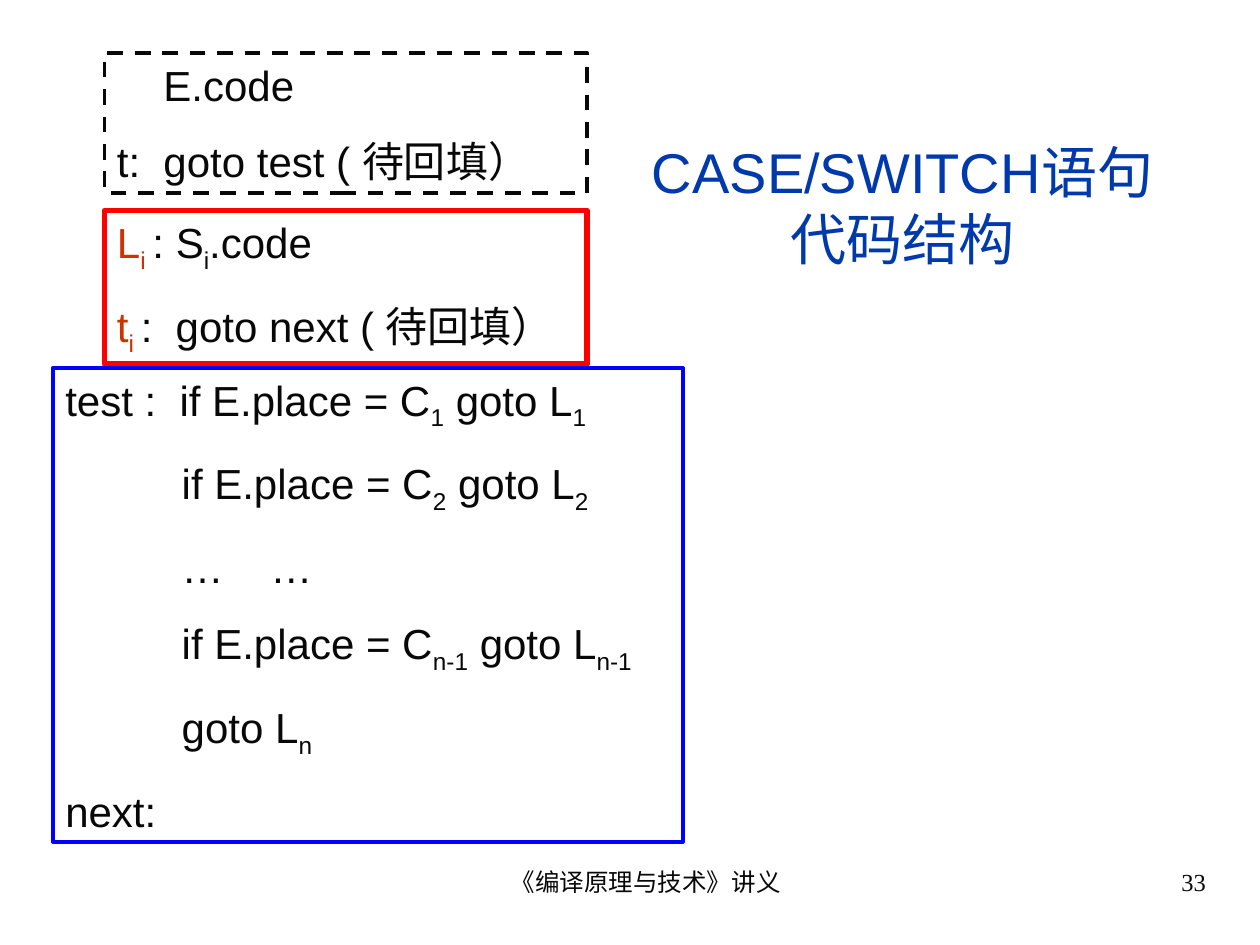
from pptx import Presentation
from pptx.dml.color import RGBColor
from pptx.enum import dml, shapes, text
from pptx.util import Inches, Pt

INK = RGBColor(0x08, 0x08, 0x08)
LABEL = RGBColor(0xCC, 0x33, 0x00)
TITLE = RGBColor(0x00, 0x39, 0xAC)
RED = RGBColor(0xFF, 0x00, 0x00)
BLUE = RGBColor(0x00, 0x00, 0xFF)

HEADING = "CASE/SWITCH语句\v代码结构"
INDENT = " " * 10

# Pieces of a line alternate between normal text and subscript.
EXPRESSION = [["    E.code"], ["t:  goto test ( 待回填）"]]
BRANCH = [["L", "i ", ": S", "i", ".code"], ["t", "i ", ":  goto next ( 待回填）"]]
TESTS = [
    ["test :  if E.place = C", "1", " goto L", "1"],
    [INDENT + "if E.place = C", "2", " goto L", "2"],
    [INDENT + "…    …"],
    [INDENT + "if E.place = C", "n-1", " goto L", "n-1"],
    [INDENT + "goto L", "n"],
    ["next:"],
]
BLOCKS = [
    (EXPRESSION, (0.83, 0.42, 3.83, 1.11), INK, 2.25, True, 0),
    (BRANCH, (0.83, 1.67, 3.83, 1.22), RED, 3, False, 2),
    (TESTS, (0.42, 2.92, 5, 3.76), BLUE, 2.25, False, 0),
]
FOOTERS = [
    ("《编译原理与技术》讲义", (3.42, 6.83, 3.17, 0.52), text.PP_ALIGN.CENTER),
    ("33", (7.17, 6.83, 2.5, 0.52), text.PP_ALIGN.RIGHT),
]


def style(run, face, size, color):
    run.font.name = face
    run.font.size = Pt(size)
    run.font.color.rgb = color


def add_block(slide, lines, place, border, width, dashed, label_pieces):
    block = slide.shapes.add_shape(shapes.MSO_SHAPE.RECTANGLE, *map(Inches, place))
    block.shadow.inherit = False
    block.fill.background()
    block.line.color.rgb = border
    block.line.width = Pt(width)
    if dashed:
        block.line.dash_style = dml.MSO_LINE.DASH
    frame = block.text_frame
    frame.word_wrap = True
    frame.auto_size = text.MSO_AUTO_SIZE.SHAPE_TO_FIT_TEXT
    frame.vertical_anchor = text.MSO_ANCHOR.TOP
    for row, pieces in enumerate(lines):
        line = frame.add_paragraph() if row else frame.paragraphs[0]
        line.alignment = text.PP_ALIGN.LEFT
        if row:
            line.space_before = Pt(15)
        for position, piece in enumerate(pieces):
            run = line.add_run()
            run.text = piece
            style(run, "Arial", 24, LABEL if position < label_pieces else INK)
            if position % 2:
                run._r.get_or_add_rPr().set("baseline", "-25000")


def add_footer(slide, wording, place, alignment):
    footer = slide.shapes.add_textbox(*map(Inches, place))
    footer.text_frame.word_wrap = True
    footer.text_frame.text = wording
    line = footer.text_frame.paragraphs[0]
    line.alignment = alignment
    line._p.get_or_add_pPr().set("marL", str(Inches(0.24)))
    style(line.runs[0], "Times New Roman", 14, INK)


def add_title(slide):
    title = slide.shapes.title
    title.left, title.top, title.width, title.height = map(Inches, (4.58, 1.25, 5.17, 0.75))
    frame = title.text_frame
    frame.text = HEADING
    frame.auto_size = text.MSO_AUTO_SIZE.NONE
    frame.vertical_anchor = text.MSO_ANCHOR.MIDDLE
    line = frame.paragraphs[0]
    line.alignment = text.PP_ALIGN.CENTER
    for run in line.runs:
        style(run, "Arial", 32, TITLE)


def main():
    deck = Presentation()
    deck.slide_width, deck.slide_height = Inches(10), Inches(7.5)
    slide = deck.slides.add_slide(deck.slide_layouts[5])
    for block in BLOCKS:
        add_block(slide, *block)
    add_title(slide)
    for footer in FOOTERS:
        add_footer(slide, *footer)
    deck.save("out.pptx")


if __name__ == "__main__":
    main()
